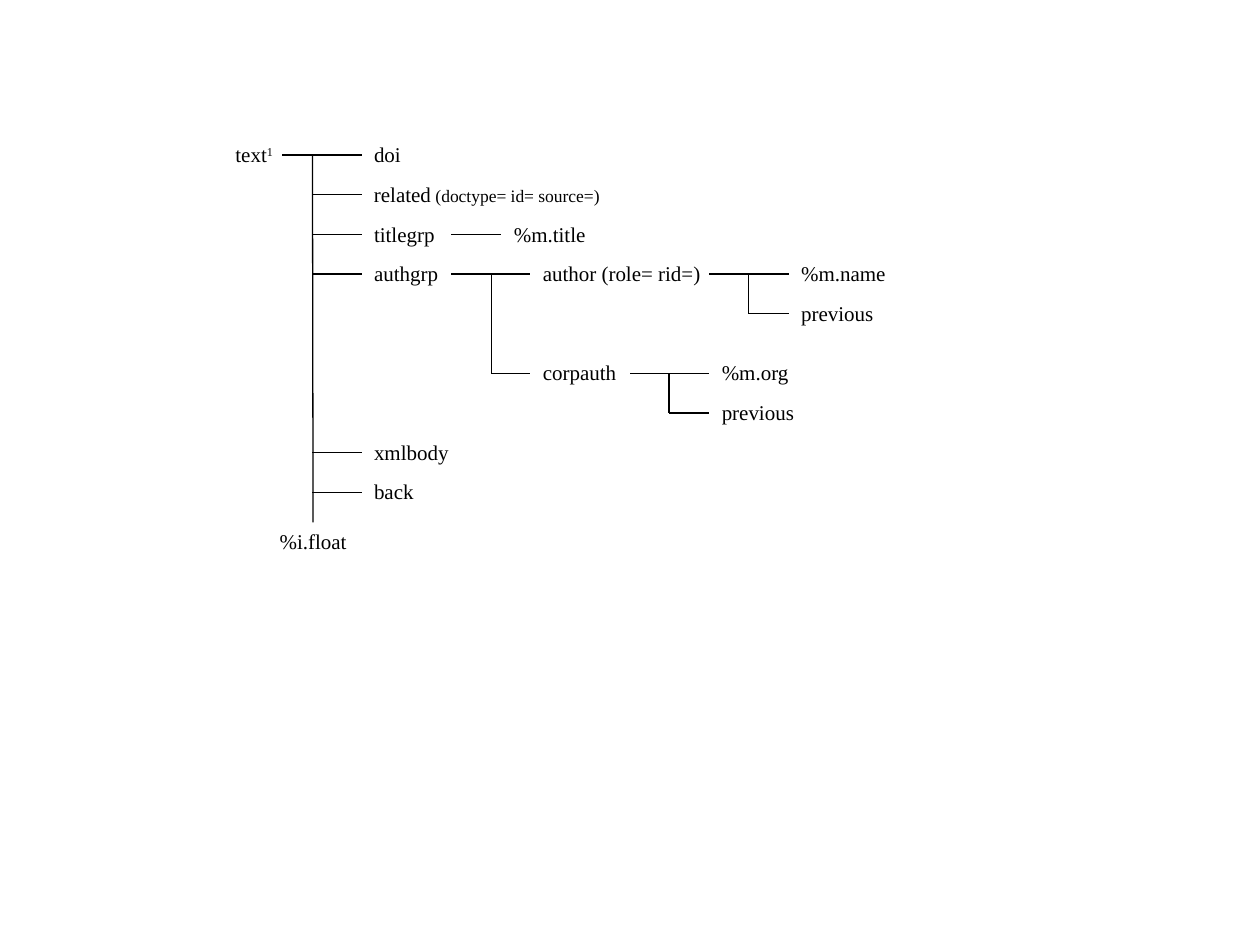
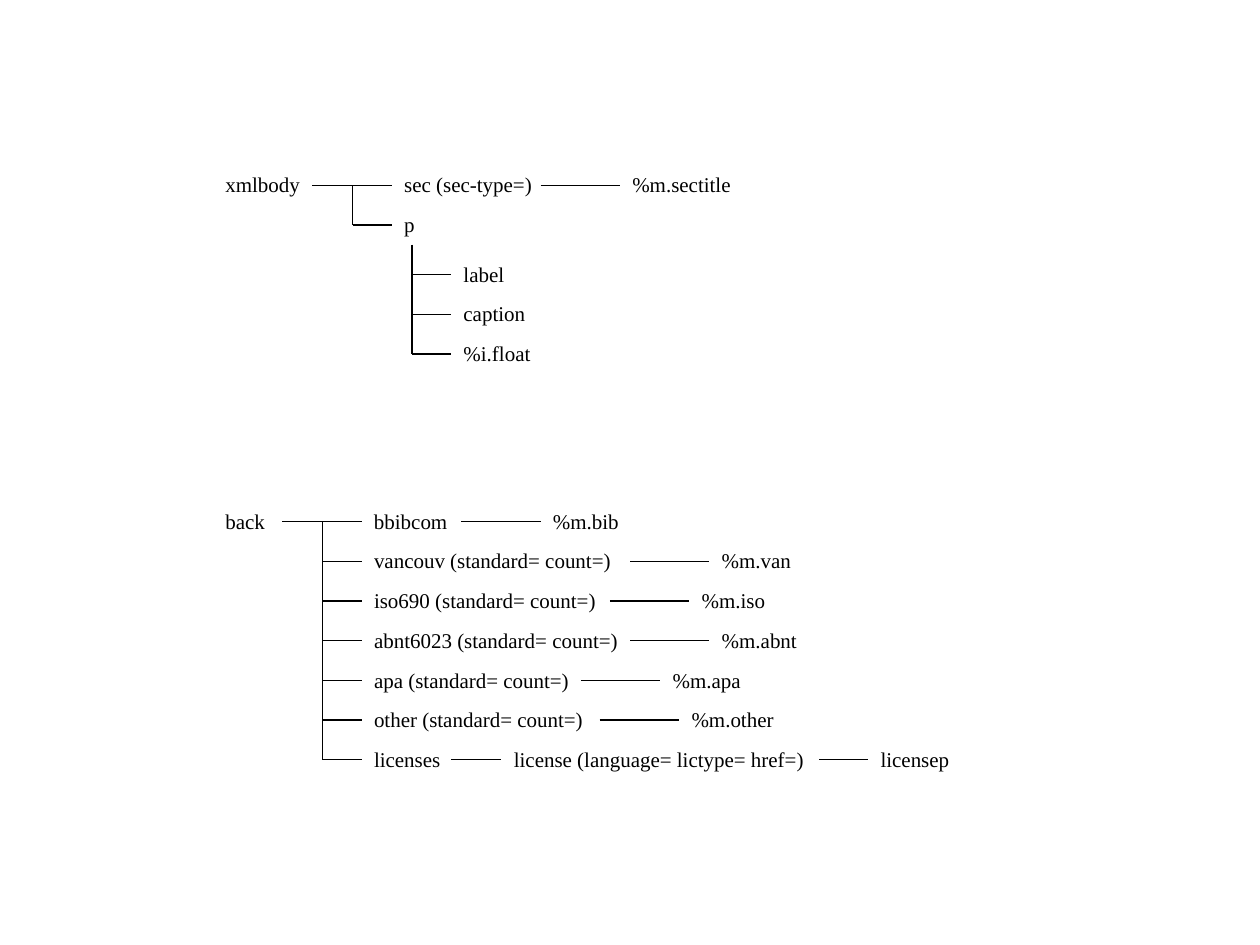
from dataclasses import dataclass
from typing import Optional

from lxml.etree import SubElement
from pptx import Presentation
from pptx.dml.color import RGBColor
from pptx.enum.shapes import MSO_CONNECTOR
from pptx.enum.text import MSO_ANCHOR, MSO_AUTO_SIZE, PP_ALIGN
from pptx.oxml.ns import qn
from pptx.util import Inches, Pt


@dataclass(frozen=True)
class Theme:
    font: str = "Times New Roman"
    ink: RGBColor = RGBColor(0, 0, 0)
    paper: RGBColor = RGBColor(255, 255, 255)
    label_size: Pt = Pt(12)
    attribute_size: Pt = Pt(10)
    line_width: Pt = Pt(0.75)


THEME = Theme()
BOX_HEIGHT = 0.31
ROW_PITCH = 0.63 / 2
TOP, LEFT, BOTTOM, RIGHT = 0, 1, 2, 3  # connection sites


@dataclass(frozen=True)
class Run:
    text: str
    size: Pt = THEME.label_size
    raised: bool = False


@dataclass(frozen=True)
class Node:
    """An element of the tree; rows count from the top of its tree."""
    label: str
    x: float
    row: float
    width: float
    children: tuple["Node", ...] = ()
    exit_x: float = 0  # where the line to the first child starts
    trunk_x: float = 0  # the vertical that feeds the other children
    trunk_row: Optional[float] = None  # trunk start, if not the first child
    foot: Optional["Node"] = None  # element hanging at the trunk's end
    extra: Optional[Run] = None


# Drawing
def add_label(s, node: Node, y: float, align=PP_ALIGN.LEFT):
    sp = s.shapes.add_textbox(Inches(node.x), Inches(y - BOX_HEIGHT / 2),
                              Inches(node.width), Inches(BOX_HEIGHT))
    tf = sp.text_frame
    frame_format = {"word_wrap": True, "auto_size": MSO_AUTO_SIZE.NONE,
                    "vertical_anchor": MSO_ANCHOR.TOP,
                    "margin_left": Inches(0.1), "margin_right": Inches(0.1),
                    "margin_top": Inches(0.05), "margin_bottom": Inches(0.05)}
    for name, value in frame_format.items():
        setattr(tf, name, value)
    p = tf.paragraphs[0]
    p.alignment = align
    for run in filter(None, (Run(node.label), node.extra)):
        r = p.add_run()
        r.text = run.text
        for name, value in {"name": THEME.font, "size": run.size}.items():
            setattr(r.font, name, value)
        r.font.color.rgb = THEME.ink
        if run.raised:
            r.font._element.set("baseline", "30000")
    return sp


def add_line(s, x1: float, y1: float, x2: float, y2: float):
    line = s.shapes.add_connector(MSO_CONNECTOR.STRAIGHT, Inches(x1),
                                  Inches(y1), Inches(x2), Inches(y2))
    line.line.color.rgb = THEME.ink
    line.line.width = THEME.line_width
    SubElement(line._element.spPr, qn("a:effectLst"))
    return line


def draw_tree(s, node: Node, top: float):
    def y_of(row: float) -> float:
        return top + row * ROW_PITCH

    box = add_label(s, node, y_of(node.row))

    # Trunk, down to the last child or to the foot
    if node.trunk_x:
        first = node.children[0].row if node.trunk_row is None else node.trunk_row
        trunk = add_line(s, node.trunk_x, y_of(first),
                         node.trunk_x, y_of(node.children[-1].row))
        if node.foot:
            foot = add_label(s, node.foot, y_of(node.foot.row), PP_ALIGN.CENTER)
            trunk.end_connect(foot, TOP)

    # Branches to the children
    for i, child in enumerate(node.children):
        child_box = draw_tree(s, child, top)
        start = node.trunk_x if i else node.exit_x
        y = y_of(child.row)
        branch = add_line(s, start, y, child.x, y)
        branch.end_connect(child_box, LEFT)
        if child.row == node.row and abs(node.x + node.width - start) < 0.01:
            branch.begin_connect(box, RIGHT)
    return box


# Slide 1: the text element
author = Node("author (role= rid=)", 4.21, 3, 1.5, (
    Node("%m.name", 6.26, 3, 0.95),
    Node("previous", 6.26, 4, 0.95)), exit_x=5.63, trunk_x=5.94)
corpauth = Node("corpauth", 4.21, 5.5, 0.79, (
    Node("%m.org", 5.63, 5.5, 0.79),
    Node("previous", 5.63, 6.5, 0.95)), exit_x=5, trunk_x=5.31)
TEXT = Node("text", 1.77, 0, 0.51, (
    Node("doi", 2.87, 0, 0.55),
    Node("related", 2.87, 1, 2.6,
         extra=Run(" (doctype= id= source=)", THEME.attribute_size)),
    Node("titlegrp", 2.87, 2, 0.71,
         (Node("%m.title", 3.98, 2, 0.95),), exit_x=3.58),
    Node("authgrp", 2.87, 3, 0.79, (author, corpauth),
         exit_x=3.58, trunk_x=3.9),
    Node("xmlbody", 2.87, 7.5, 0.95),
    Node("back", 2.87, 8.5, 0.71)),
    exit_x=2.24, trunk_x=2.48, extra=Run("1", raised=True),
    foot=Node("%i.float", 2.01, 9.75, 0.95))

# Slide 2: the body and back elements
paragraph = Node("p", 3.11, 1, 0.39, tuple(
    Node(label, 3.58, 2.25 + i, width) for i, (label, width) in
    enumerate((("label", 0.55), ("caption", 0.95), ("%i.float", 0.95)))),
    exit_x=3.27, trunk_x=3.27, trunk_row=1.5)
XMLBODY = Node("xmlbody", 1.69, 0, 0.87, (
    Node("sec (sec-type=)", 3.11, 0, 1.26,
         (Node("%m.sectitle", 4.92, 0, 1.1),), exit_x=4.29),
    paragraph), exit_x=2.48, trunk_x=2.8)

STYLES = (("bbibcom", "%m.bib", 0.94, 3.66),
          ("vancouv (standard= count=)", "%m.van", 2.28, 5),
          ("iso690 (standard= count=)", "%m.iso", 2.28, 4.84),
          ("abnt6023 (standard= count=)", "%m.abnt", 2.28, 5),
          ("apa (standard= count=)", "%m.apa", 2.28, 4.61),
          ("other (standard= count=)", "%m.other", 2.28, 4.76))
styles = tuple(
    Node(label, 2.87, row, width,
         (Node(model, exit_x + 0.63, row, 0.87),), exit_x=exit_x)
    for row, (label, model, width, exit_x) in enumerate(STYLES))
last = len(STYLES)
license_node = Node("license (language= lictype= href=)", 3.98, last, 2.52,
                    (Node("licensep", 6.89, last, 0.79),), exit_x=6.5)
BACK = Node("back", 1.69, 0, 0.87, styles + (
    Node("licenses", 2.87, last, 0.79, (license_node,), exit_x=3.58),),
    exit_x=2.24, trunk_x=2.56)

# Trees of each slide with the height of their first row
SLIDES = (((TEXT, 1.23),), ((XMLBODY, 1.47), (BACK, 4.14)))


def main() -> None:
    prs = Presentation()
    prs.slide_width, prs.slide_height = Inches(10), Inches(7.5)
    for trees in SLIDES:
        s = prs.slides.add_slide(prs.slide_layouts[6])
        s.background.fill.solid()
        s.background.fill.fore_color.rgb = THEME.paper
        for tree, top in trees:
            draw_tree(s, tree, top)
    prs.save("out.pptx")


if __name__ == "__main__":
    main()
